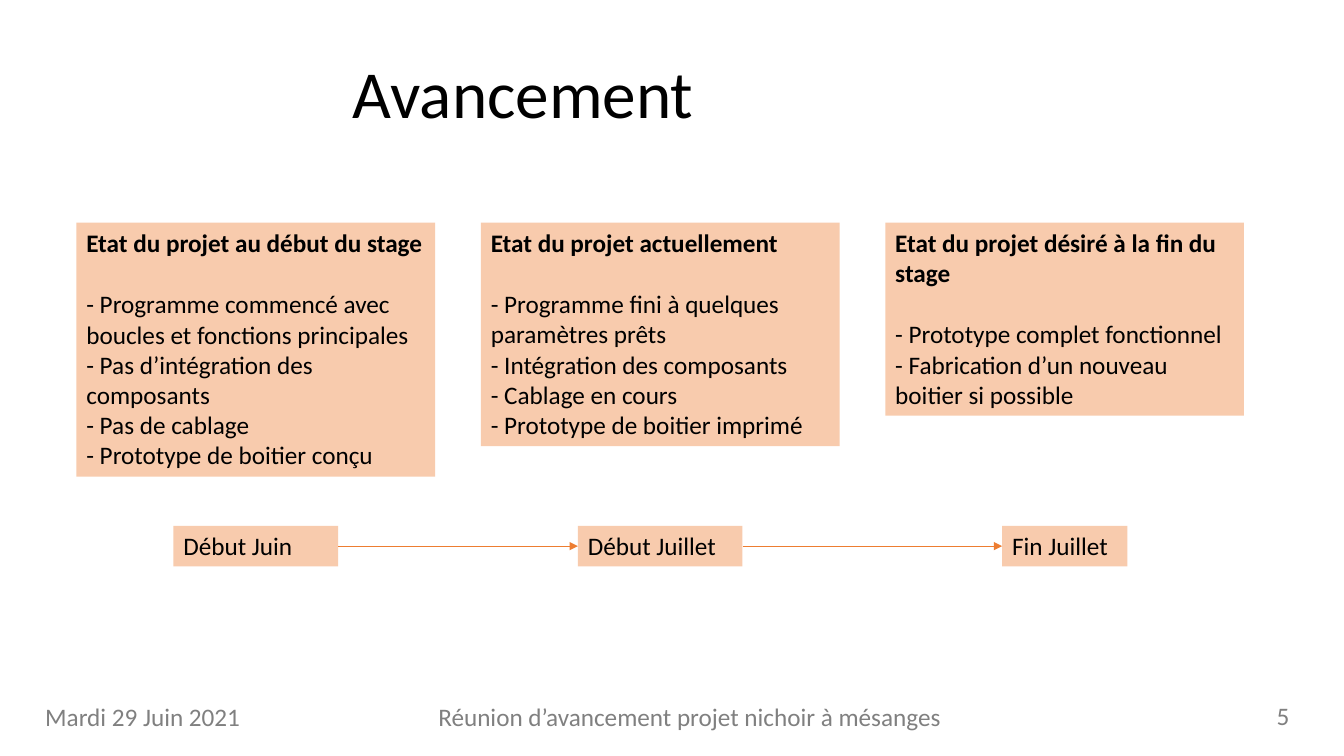
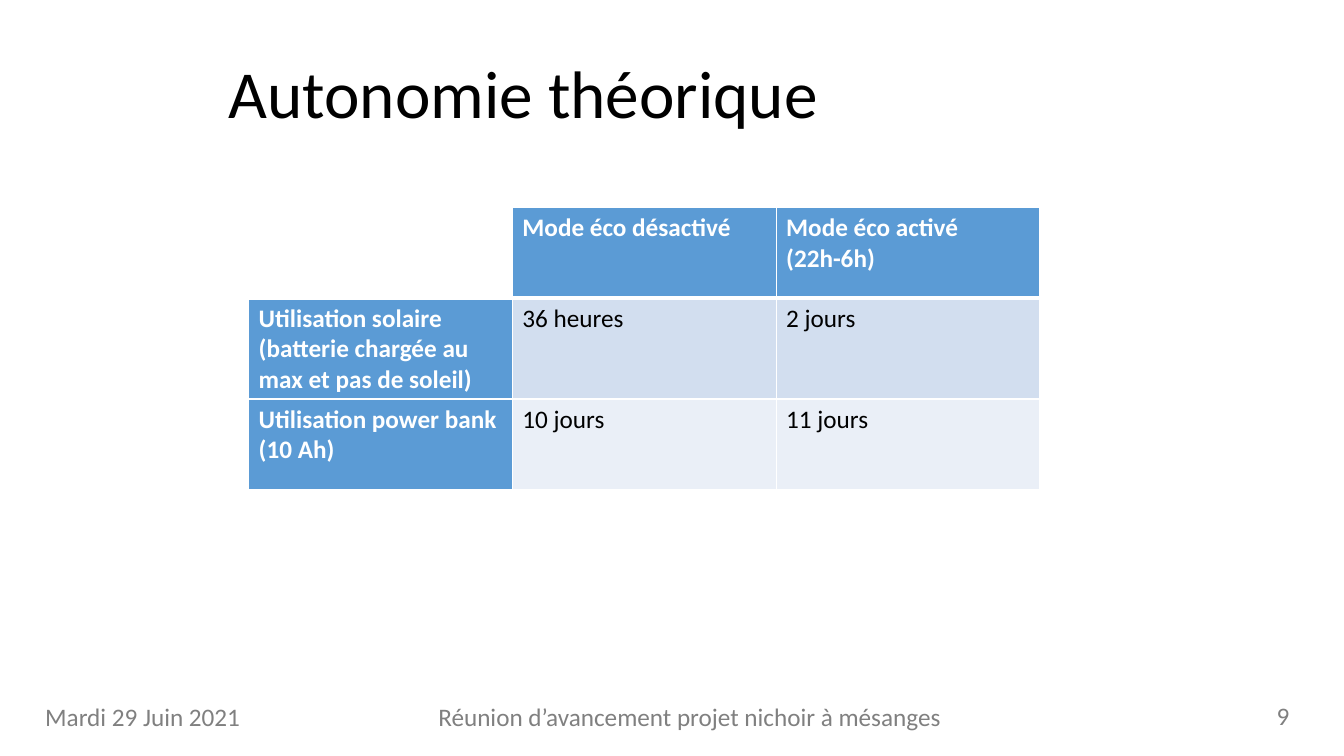
"""Two progress slides for the nest box project."""
import dataclasses

import lxml.etree
import pptx
import pptx.dml.color
import pptx.enum.shapes
import pptx.enum.text
import pptx.oxml.ns
import pptx.util

ANCHOR = pptx.enum.text.MSO_ANCHOR
ALIGN = pptx.enum.text.PP_ALIGN
FIT = pptx.enum.text.MSO_AUTO_SIZE
SHAPE = pptx.enum.shapes.MSO_SHAPE
LINE = pptx.enum.shapes.MSO_CONNECTOR
qn = pptx.oxml.ns.qn


@dataclasses.dataclass(frozen=True)
class Theme:
    """Colours, font, type sizes and line widths."""
    font: str = "Calibri"
    text: str = "000000"
    light: str = "FFFFFF"
    muted: str = "808080"
    card: str = "F8CBAD"
    arrow: str = "ED7D31"
    head: str = "5B9BD5"
    bands: tuple = ("D2DEEF", "EAEFF7")
    title_pt: float = 48
    body_pt: float = 18
    blank_pt: float = 22
    arrow_pt: float = 0.5
    border_pt: float = 1
    rule_pt: float = 3


def rgb(value):
    """Return the colour for an RRGGBB string."""
    return pptx.dml.color.RGBColor.from_string(value)


def assign(target, values):
    """Set each named value on the target."""
    for name, value in values.items():
        setattr(target, name, value)


class Deck:
    """Draws elements on the current slide, on a grid of 160 by 90 cells."""
    COLS, ROWS = 160, 90
    LINE_ROWS, PAD_ROWS = 3.63, 1.2
    FOOTER = (("Réunion d’avancement projet nichoir à mésanges", 51, 82.9, 65.9),
              ("Mardi 29 Juin 2021", 4.2, 82.9, 35.3))

    def __init__(self, theme):
        """Start an empty widescreen deck."""
        self.theme = theme
        self.prs = pptx.Presentation()
        self.prs.slide_width = pptx.util.Inches(13.33)
        self.prs.slide_height = pptx.util.Inches(7.5)
        self.s = None

    def x(self, cols):
        """Return the length of a number of columns."""
        return round(self.prs.slide_width * cols / self.COLS)

    def y(self, rows):
        """Return the length of a number of rows."""
        return round(self.prs.slide_height * rows / self.ROWS)

    def box(self, left, top, width, height):
        """Return the four lengths of a grid area."""
        return self.x(left), self.y(top), self.x(width), self.y(height)

    def height(self, lines):
        """Return the rows taken by a box holding some lines of text."""
        return self.PAD_ROWS + self.LINE_ROWS * lines

    def run(self, p, text, color=None, size=None, bold=False):
        """Add one formatted run to a paragraph."""
        r = p.add_run()
        r.text = text
        assign(r.font, {"name": self.theme.font, "bold": bold,
                        "size": pptx.util.Pt(size or self.theme.body_pt)})
        r.font.color.rgb = rgb(color or self.theme.text)

    def slide(self, title, number):
        """Add a slide with its title and footer."""
        self.s = self.prs.slides.add_slide(self.prs.slide_layouts[5])
        sp = self.s.shapes.title
        area = self.box(2.3, 2.2, 120, 14.2)
        assign(sp, dict(zip(("left", "top", "width", "height"), area)))
        assign(sp.text_frame, {"word_wrap": True, "auto_size": FIT.NONE,
                               "vertical_anchor": ANCHOR.BOTTOM})
        p = sp.text_frame.paragraphs[0]
        assign(p, {"alignment": ALIGN.CENTER, "line_spacing": 0.9})
        self.run(p, title, size=self.theme.title_pt)
        for text, left, top, width in (*self.FOOTER, (str(number), 150.8, 82.8, 5.1)):
            self.label(text, left, top, width)

    def label(self, text, left, top, width):
        """Add one line of muted text."""
        area = self.box(left, top, width, self.height(1))
        tf = self.s.shapes.add_textbox(*area).text_frame
        assign(tf, {"word_wrap": True, "auto_size": FIT.SHAPE_TO_FIT_TEXT})
        self.run(tf.paragraphs[0], text, self.theme.muted)

    def card(self, left, top, width, lines, text, items=(), bold=False):
        """Add a filled box with a first line and items set apart from it."""
        sp = self.s.shapes.add_shape(
            SHAPE.RECTANGLE, *self.box(left, top, width, self.height(lines)))
        sp.shadow.inherit = False
        sp.fill.solid()
        sp.fill.fore_color.rgb = rgb(self.theme.card)
        sp.line.fill.background()
        tf = sp.text_frame
        assign(tf, {"word_wrap": True, "vertical_anchor": ANCHOR.TOP,
                    "auto_size": FIT.SHAPE_TO_FIT_TEXT})
        p = tf.paragraphs[0]
        p.alignment = ALIGN.LEFT
        self.run(p, text, bold=bold)
        for i, item in enumerate(items):
            p = tf.add_paragraph()
            space = 0 if i else self.theme.blank_pt
            assign(p, {"alignment": ALIGN.LEFT, "space_before": pptx.util.Pt(space)})
            self.run(p, "- " + item)
        return sp

    def arrow(self, start, end):
        """Join the right side of one box to the left side of the next."""
        c = self.s.shapes.add_connector(LINE.STRAIGHT, 0, 0, 0, 0)
        c.begin_connect(start, 3)
        c.end_connect(end, 1)
        c.line.color.rgb = rgb(self.theme.arrow)
        c.line.width = pptx.util.Pt(self.theme.arrow_pt)
        props = c._element.spPr
        lxml.etree.SubElement(props.find(qn("a:ln")), qn("a:tailEnd"), type="triangle")
        lxml.etree.SubElement(props, qn("a:effectLst"))

    def borders(self, cell, widths):
        """Draw the left, right, top and bottom borders of a cell."""
        props = cell._tc.get_or_add_tcPr()
        for i, (side, width) in enumerate(zip("LRTB", widths)):
            ln = lxml.etree.Element(qn("a:ln" + side), w=str(int(pptx.util.Pt(width))))
            fill = lxml.etree.SubElement(ln, qn("a:solidFill"))
            lxml.etree.SubElement(fill, qn("a:srgbClr"), val=self.theme.light)
            props.insert(i, ln)

    def table(self, left, top, col_width, row_heights, rows):
        """Add a table with a heading row, a heading column and bands."""
        t = self.theme
        n = len(rows[0])
        area = self.box(left, top, col_width * n, sum(row_heights))
        tbl = self.s.shapes.add_table(len(rows), n, *area).table
        tbl.horz_banding = False
        for col in tbl.columns:
            col.width = self.x(col_width)
        for i, (row, height) in enumerate(zip(rows, row_heights)):
            tbl.rows[i].height = self.y(height)
            for j, text in enumerate(row):
                cell = tbl.cell(i, j)
                heading = i == 0 or j == 0
                fill = t.head if heading else t.bands[(i - 1) % 2]
                cell.fill.solid()
                cell.fill.fore_color.rgb = rgb(fill if text else t.light)
                self.borders(cell, (t.border_pt, t.border_pt,
                                    t.rule_pt if i == 1 else t.border_pt,
                                    t.rule_pt if i == 0 else t.border_pt))
                if text:
                    self.run(cell.text_frame.paragraphs[0], text,
                             t.light if heading else t.text, bold=heading)


STAGES = (
    ("Etat du projet au début du stage", 8,
     ("Programme commencé avec boucles et fonctions principales",
      "Pas d’intégration des composants", "Pas de cablage",
      "Prototype de boitier conçu"), "Début Juin", 19.6),
    ("Etat du projet actuellement", 7,
     ("Programme fini à quelques paramètres prêts", "Intégration des composants",
      "Cablage en cours", "Prototype de boitier imprimé"), "Début Juillet", 19.6),
    ("Etat du projet désiré à la fin du stage", 6,
     ("Prototype complet fonctionnel",
      "Fabrication d’un nouveau boitier si possible"), "Fin Juillet", 14.9),
)

AUTONOMY = (
    ("", "Mode éco désactivé", "Mode éco activé (22h-6h)"),
    ("Utilisation solaire (batterie chargée au max et pas de soleil)",
     "36 heures", "2 jours"),
    ("Utilisation power bank (10 Ah)", "10 jours", "11 jours"),
)


def progress(deck):
    """Draw the three project stages above their timeline."""
    deck.slide("Avancement", 5)
    first, pitch, width = 9.1, 48.15, 42.7
    dates = []
    for i, (state, lines, items, date, date_width) in enumerate(STAGES):
        left = first + i * pitch
        deck.card(left, 26.5, width, lines, state, items, bold=True)
        middle = left + (width - date_width) / 2
        dates.append(deck.card(middle, 62.6, date_width, 1, date))
    for start, end in zip(dates, dates[1:]):
        deck.arrow(start, end)


def autonomy(deck):
    """Draw the table of battery life by mode."""
    deck.slide("Autonomie théorique", 9)
    deck.table(29.6, 24.7, 31.4, (10.8, 12, 10.8), AUTONOMY)


def main():
    """Build and save the deck."""
    deck = Deck(Theme())
    progress(deck)
    autonomy(deck)
    deck.prs.save("out.pptx")


if __name__ == "__main__":
    main()
